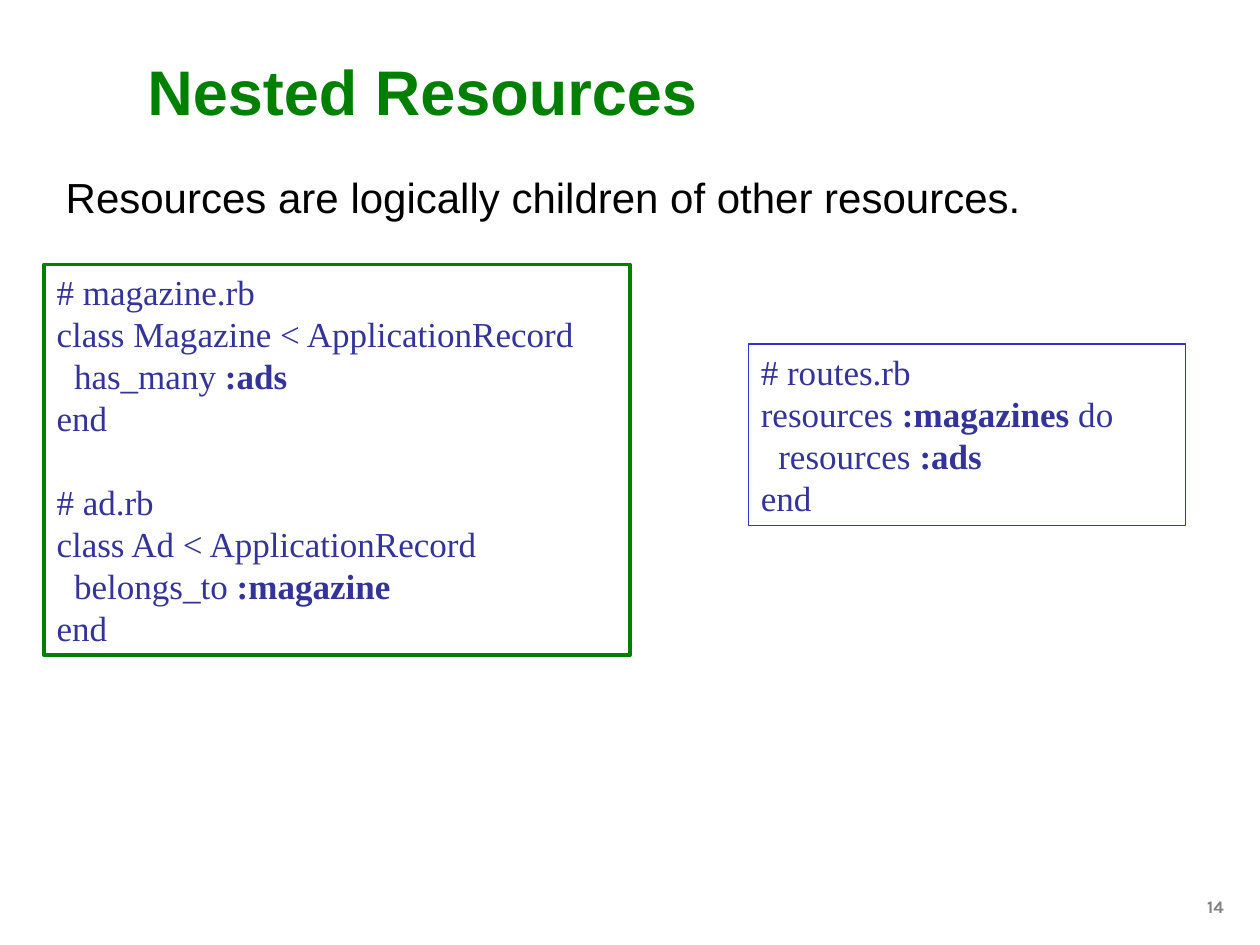
from dataclasses import dataclass

from pptx import Presentation
from pptx.dml.color import RGBColor
from pptx.enum.shapes import MSO_SHAPE
from pptx.enum.text import MSO_ANCHOR, MSO_AUTO_SIZE, PP_ALIGN
from pptx.util import Inches, Pt

RECTANGLE = MSO_SHAPE.RECTANGLE
TOP, MIDDLE = MSO_ANCHOR.TOP, MSO_ANCHOR.MIDDLE
NO_FIT = MSO_AUTO_SIZE.NONE
LEFT, CENTER, RIGHT = PP_ALIGN.LEFT, PP_ALIGN.CENTER, PP_ALIGN.RIGHT


@dataclass(frozen=True)
class Theme:
    green: str = "008000"
    blue: str = "3333CC"
    code_ink: str = "333399"
    black: str = "000000"
    gray: str = "808080"
    sans: str = "Arial"
    serif: str = "Times New Roman"
    number_font: str = "Karla"
    title_size: int = 36
    lead_size: int = 24
    code_size: int = 20
    number_size: int = 10
    code_line: int = 24
    code_indent: int = 10


theme = Theme()
deck = Presentation()
deck.slide_width, deck.slide_height = Inches(10), Inches(7.5)
column, row = deck.slide_width / 100, deck.slide_height / 75
page = deck.slides.add_slide(deck.slide_layouts[5])


def place(left, top, width, height):
    return int(left * column), int(top * row), int(width * column), int(height * row)


def add_span(para, text, font, size, color, bold=False):
    span = para.add_run()
    span.text = text
    span.font.name, span.font.size, span.font.bold = font, Pt(size), bold
    span.font.color.rgb = RGBColor.from_string(color)


title = page.shapes.title
title.left, title.top, title.width, title.height = place(10.7, 2.9, 85, 8.6)
title.text_frame.auto_size = NO_FIT
title.text_frame.vertical_anchor = MIDDLE
para = title.text_frame.paragraphs[0]
para.alignment = LEFT
add_span(para, "Nested Resources", theme.sans, theme.title_size, theme.green, True)

code_boxes = [
    ((3.5, 21, 46.5, 31), theme.green, 2, [
        (0, False, ["# magazine.rb"]),
        (0, False, ["class Magazine < ApplicationRecord"]),
        (1, False, ["has_many ", ":ads"]),
        (0, False, ["end"]),
        (0, True, ["# ad.rb"]),
        (0, False, ["class Ad < ApplicationRecord"]),
        (1, False, ["belongs_to ", ":magazine"]),
        (0, False, ["end"]),
    ]),
    ((59.4, 27.3, 34.7, 14.4), theme.blue, 0.75, [
        (0, False, ["# routes.rb"]),
        (0, False, ["resources", " :magazines", " do"]),
        (1, False, ["resources ", ":ads"]),
        (0, False, ["end"]),
    ]),
]
for area, line_color, line_width, lines in code_boxes:
    box = page.shapes.add_shape(RECTANGLE, *place(*area))
    box.shadow.inherit = False
    box.fill.background()
    box.line.color.rgb = RGBColor.from_string(line_color)
    box.line.width = Pt(line_width)
    box.text_frame.word_wrap = True
    box.text_frame.vertical_anchor = TOP
    for index, (level, new_block, parts) in enumerate(lines):
        para = box.text_frame.add_paragraph() if index else box.text_frame.paragraphs[0]
        para.alignment = LEFT
        para.line_spacing = Pt(theme.code_line)
        para.space_before = Pt(theme.code_line if new_block else 0)
        para._p.get_or_add_pPr().set("marL", str(Pt(level * theme.code_indent)))
        for position, text in enumerate(parts):
            add_span(para, text, theme.serif, theme.code_size, theme.code_ink, position == 1)

labels = [
    ((4.2, 13.1, 77.8, 5), "Resources are logically children of other resources.",
     CENTER, False, theme.sans, theme.lead_size, theme.black, False),
    ((91, 70.6, 7.1, 2.8), "14",
     RIGHT, True, theme.number_font, theme.number_size, theme.gray, True),
]
for area, text, alignment, wrap, font, size, color, bold in labels:
    box = page.shapes.add_textbox(*place(*area))
    box.text_frame.word_wrap = wrap
    para = box.text_frame.paragraphs[0]
    para.alignment = alignment
    add_span(para, text, font, size, color, bold)

deck.save("out.pptx")
